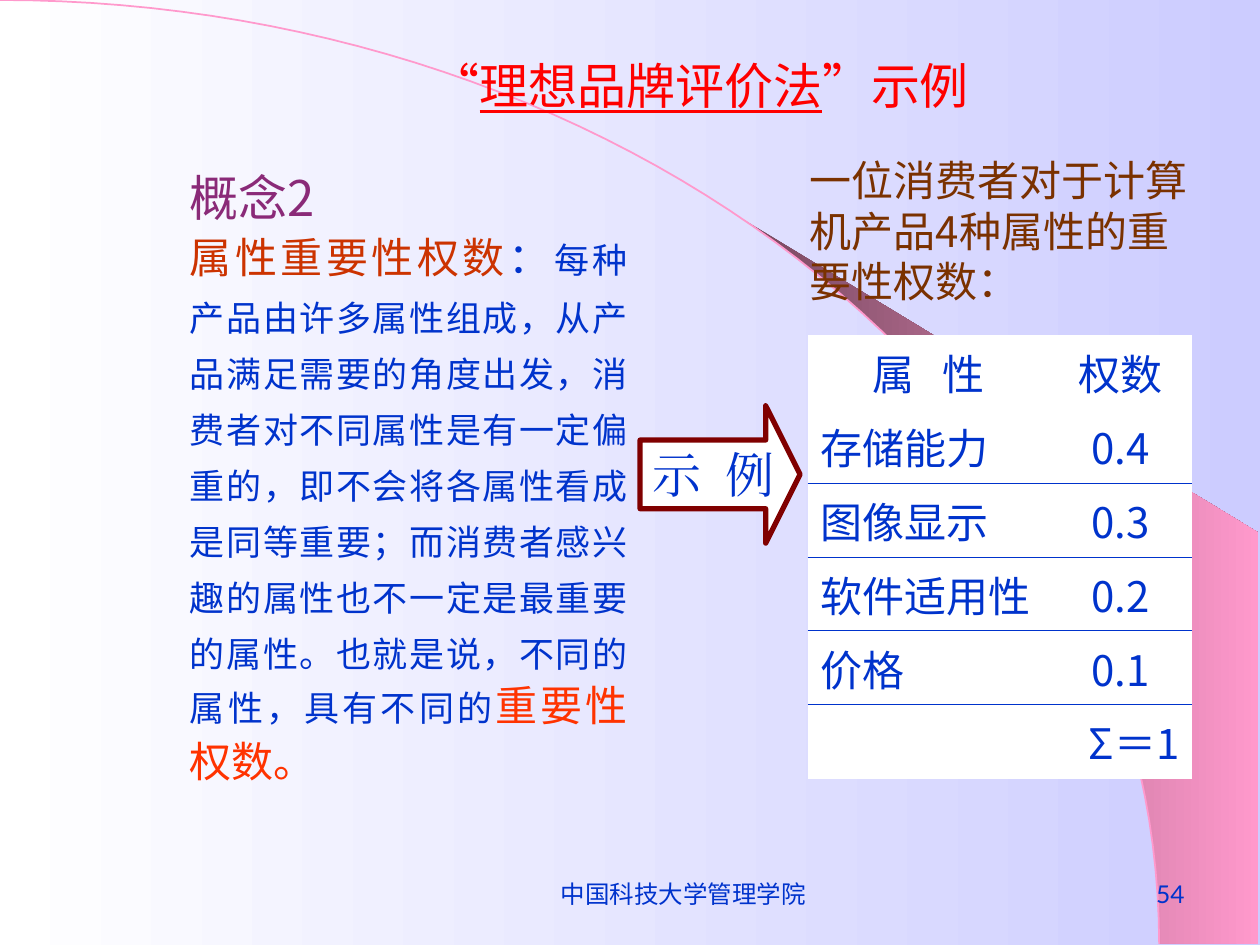
import math
from dataclasses import dataclass

from lxml import etree
from pptx import Presentation
from pptx.dml.color import RGBColor
from pptx.enum.shapes import MSO_SHAPE
from pptx.enum.text import MSO_ANCHOR, MSO_AUTO_SIZE, PP_ALIGN
from pptx.oxml.ns import qn
from pptx.util import Inches, Pt

LEFT, CENTER, RIGHT, JUSTIFY = PP_ALIGN.LEFT, PP_ALIGN.CENTER, PP_ALIGN.RIGHT, PP_ALIGN.JUSTIFY
TOP, MIDDLE = MSO_ANCHOR.TOP, MSO_ANCHOR.MIDDLE
GROW = MSO_AUTO_SIZE.SHAPE_TO_FIT_TEXT
RIGHT_ARROW = MSO_SHAPE.RIGHT_ARROW


@dataclass(frozen=True)
class Theme:
    cjk: str = "Noto Sans CJK SC"
    serif: str = "Times New Roman"
    sans: str = "Lato"
    white: str = "FFFFFF"
    lavender: str = "CCCCFF"
    pink: str = "FF99CC"
    plum: str = "76475E"
    blue: str = "0033CC"
    red: str = "FF0000"
    purple: str = "8A2A78"
    rust: str = "CC3300"
    orange: str = "FF3300"
    brown: str = "7A3100"
    maroon: str = "800000"
    title: int = 28
    lead: int = 24
    body: int = 20
    footer: int = 14
    rule: float = 0.45


def rgb(value):
    return RGBColor.from_string(value)


def arc_points(rx, ry, start_x=0, steps=60):
    """Points of a quarter ellipse from start_x down to (rx, ry)."""
    start = math.asin(start_x / rx)
    angles = [start + (math.pi / 2 - start) * i / steps for i in range(steps + 1)]
    return [(rx * math.sin(a), ry * (1 - math.cos(a))) for a in angles]


class SlideBuilder:
    def __init__(self, slide, theme):
        self.slide = slide
        self.theme = theme

    def gradient(self, fill, start, end):
        fill.gradient()
        fill.gradient_angle = 0
        for stop, color, position in zip(fill.gradient_stops, (start, end), (0, 1)):
            stop.color.rgb = rgb(color)
            stop.position = position

    def run(self, p, text, size, color, font=None, underline=False, spacing=0):
        font = font or self.theme.cjk
        r = p.add_run()
        r.text = text
        r.font.size = Pt(size)
        r.font.color.rgb = rgb(color)
        r.font.name = font
        if underline:
            r.font.underline = True
        rpr = r.font._element
        if spacing:
            rpr.set("spc", str(int(spacing * 100)))
        ea = etree.Element(qn("a:ea"), typeface=font)
        rpr.find(qn("a:latin")).addnext(ea)

    def text(self, box, paragraphs, align=LEFT, anchor=TOP, wrap=True, grow=False,
             line_spacing=None, right_inset=0.1):
        """Add a text box; each paragraph is a list of run arguments."""
        sp = self.slide.shapes.add_textbox(*map(Inches, box))
        tf = sp.text_frame
        tf.word_wrap = wrap
        tf.vertical_anchor = anchor
        tf.margin_right = Inches(right_inset)
        if grow:
            tf.auto_size = GROW
        for i, runs in enumerate(paragraphs):
            p = tf.add_paragraph() if i else tf.paragraphs[0]
            p.alignment = align
            if line_spacing:
                p.line_spacing = Pt(line_spacing)
            for args in runs:
                self.run(p, *args)

    def freeform(self, points, closed):
        (x, y), *rest = [(Inches(px), Inches(py)) for px, py in points]
        builder = self.slide.shapes.build_freeform(x, y)
        builder.add_line_segments(rest, close=closed)
        sp = builder.convert_to_shape()
        sp.shadow.inherit = False
        return sp

    def curve(self, points, color):
        sp = self.freeform(points, False)
        sp.fill.background()
        sp.line.color.rgb = rgb(color)
        sp.line.width = Pt(1)

    def wedge(self, points, start, end):
        sp = self.freeform(points, True)
        self.gradient(sp.fill, start, end)
        sp.line.fill.background()

    def arrow(self, box, label):
        t = self.theme
        sp = self.slide.shapes.add_shape(RIGHT_ARROW, *map(Inches, box))
        sp.adjustments[0], sp.adjustments[1] = 0.5, 0.25
        sp.shadow.inherit = False
        sp.fill.solid()
        sp.fill.fore_color.rgb = rgb(t.white)
        sp.line.color.rgb = rgb(t.maroon)
        sp.line.width = Pt(3)
        tf = sp.text_frame
        tf.word_wrap = False
        tf.vertical_anchor = MIDDLE
        p = tf.paragraphs[0]
        p.alignment = LEFT
        self.run(p, label, t.title, t.blue, t.serif, spacing=3.5)

    def border(self, cell, side, visible):
        tc_pr = cell._tc.get_or_add_tcPr()
        ln = etree.SubElement(tc_pr, qn(f"a:ln{side}"), w=str(Pt(self.theme.rule)))
        if visible:
            fill = etree.SubElement(ln, qn("a:solidFill"))
            etree.SubElement(fill, qn("a:srgbClr"), val=self.theme.blue)
        else:
            etree.SubElement(ln, qn("a:noFill"))

    def cell(self, cell, text, align, top_rule, bottom_rule, spacing=0):
        t = self.theme
        for side, visible in zip("LRTB", (False, False, top_rule, bottom_rule)):
            self.border(cell, side, visible)
        cell.fill.solid()
        cell.fill.fore_color.rgb = rgb(t.white)
        cell.vertical_anchor = MIDDLE
        p = cell.text_frame.paragraphs[0]
        p.alignment = align
        if text:
            self.run(p, text, t.lead, t.blue, spacing=spacing)

    def weight_table(self, box, widths, header, weights, total):
        rows = [header, *weights, (total, "")]
        last = len(rows) - 1
        table = self.slide.shapes.add_table(len(rows), 2, *map(Inches, box)).table
        table.first_row = table.horz_banding = False
        for column, width in zip(table.columns, widths):
            column.width = Inches(width)
        for i, row in enumerate(rows):
            table.rows[i].height = Inches(box[3] / len(rows))
            for j, text in enumerate(row):
                align = RIGHT if i == last else LEFT if i and j == 0 else CENTER
                spacing = 5.5 if i == 0 and j == 0 else 0
                self.cell(table.cell(i, j), text, align, i > 1, 0 < i < last, spacing)
        table.cell(last, 0).merge(table.cell(last, 1))


def main():
    prs = Presentation()
    prs.slide_width, prs.slide_height = Inches(10), Inches(7.5)
    t = Theme()
    s = SlideBuilder(prs.slides.add_slide(prs.slide_layouts[6]), t)

    s.gradient(s.slide.background.fill, t.white, t.lavender)
    rx, ry = 9.2, 7.49
    s.wedge(arc_points(rx, ry, 5.89) + [(9.99, ry), (9.99, 4.23)], t.plum, t.pink)
    s.curve(arc_points(rx, ry), t.pink)

    s.text((1.41, 1.3, 3.67, 4.99), [
        [("概念2", t.title, t.purple)],
        [("属性重要性权数", t.lead, t.rust),
         ("：", t.lead, t.blue),
         ("每种产品由许多属性组成，从产品满足需要的角度出发，消费者对不同属性是有一定偏重的，"
          "即不会将各属性看成是同等重要；而消费者感兴趣的属性也不一定是最重要的属性。"
          "也就是说，不同的属性，具有不同的", t.body, t.blue),
         ("重要性权数。", t.lead, t.orange)],
    ], align=JUSTIFY, grow=True, line_spacing=32)
    s.text((3.32, 0.39, 4.47, 0.57), [[
        ("“", t.title, t.red),
        ("理想品牌评价法", t.title, t.red, t.cjk, True),
        ("”示例", t.title, t.red),
    ]], wrap=False, grow=True)
    s.weight_table((6.41, 2.66, 3.05, 3.52), (1.92, 1.13), ("属 性", "权数"),
                   [("存储能力", "0.4"), ("图像显示", "0.3"),
                    ("软件适用性", "0.2"), ("价格", "0.1")], "Σ＝1")
    s.arrow((5.08, 3.22, 1.27, 1.09), "示 例")
    s.text((8.08, 6.83, 1.42, 0.52), [[("54", t.footer, t.blue, t.sans)]],
           align=RIGHT, anchor=MIDDLE)
    s.text((4.3, 6.83, 2.45, 0.52), [[("中国科技大学管理学院", t.footer, t.blue, t.sans)]],
           align=CENTER, anchor=MIDDLE, right_inset=0.3)
    s.text((6.33, 1.18, 3.28, 1.3),
           [[("一位消费者对于计算机产品4种属性的重要性权数：", t.lead, t.brown)]], grow=True)

    prs.save("out.pptx")


if __name__ == "__main__":
    main()
